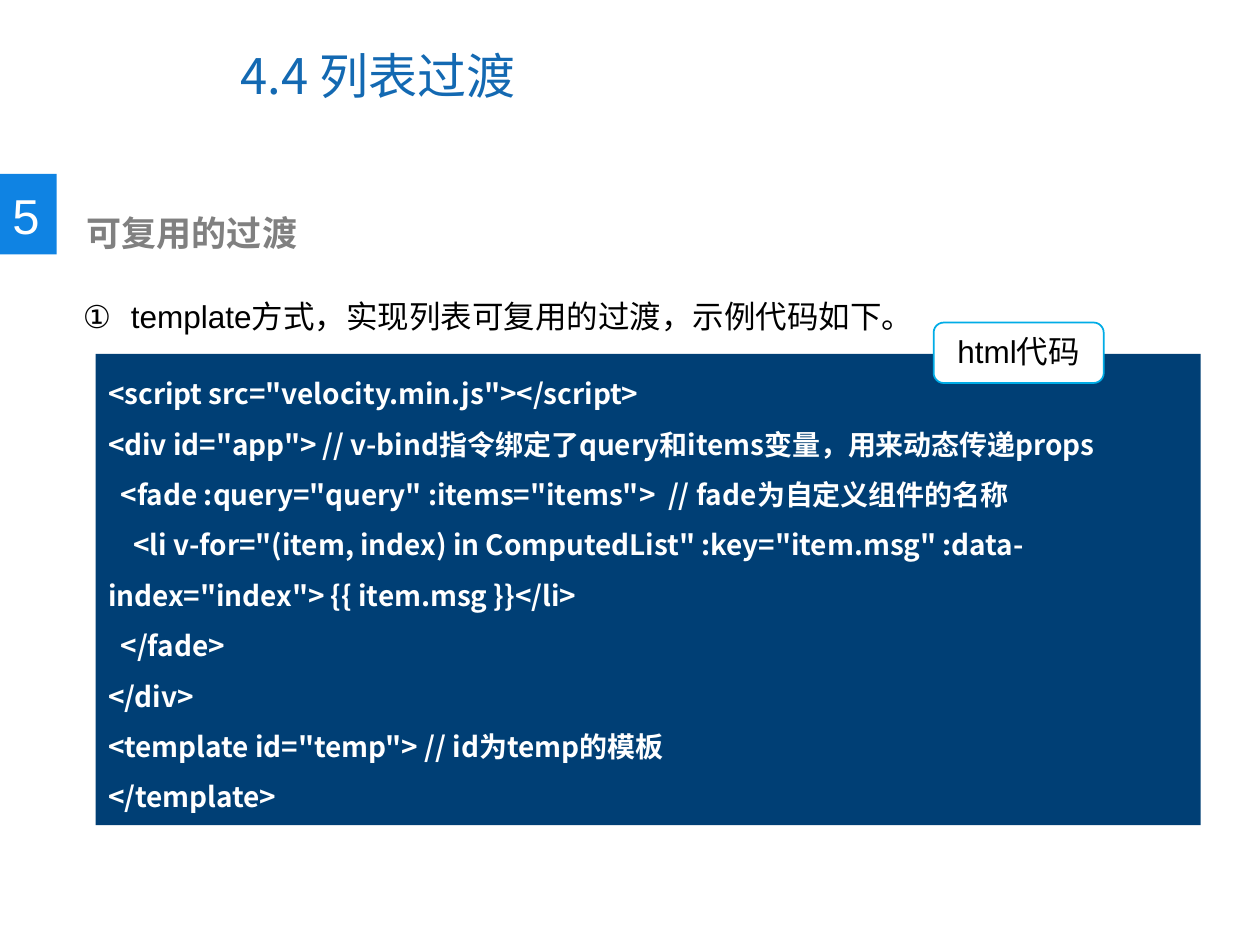
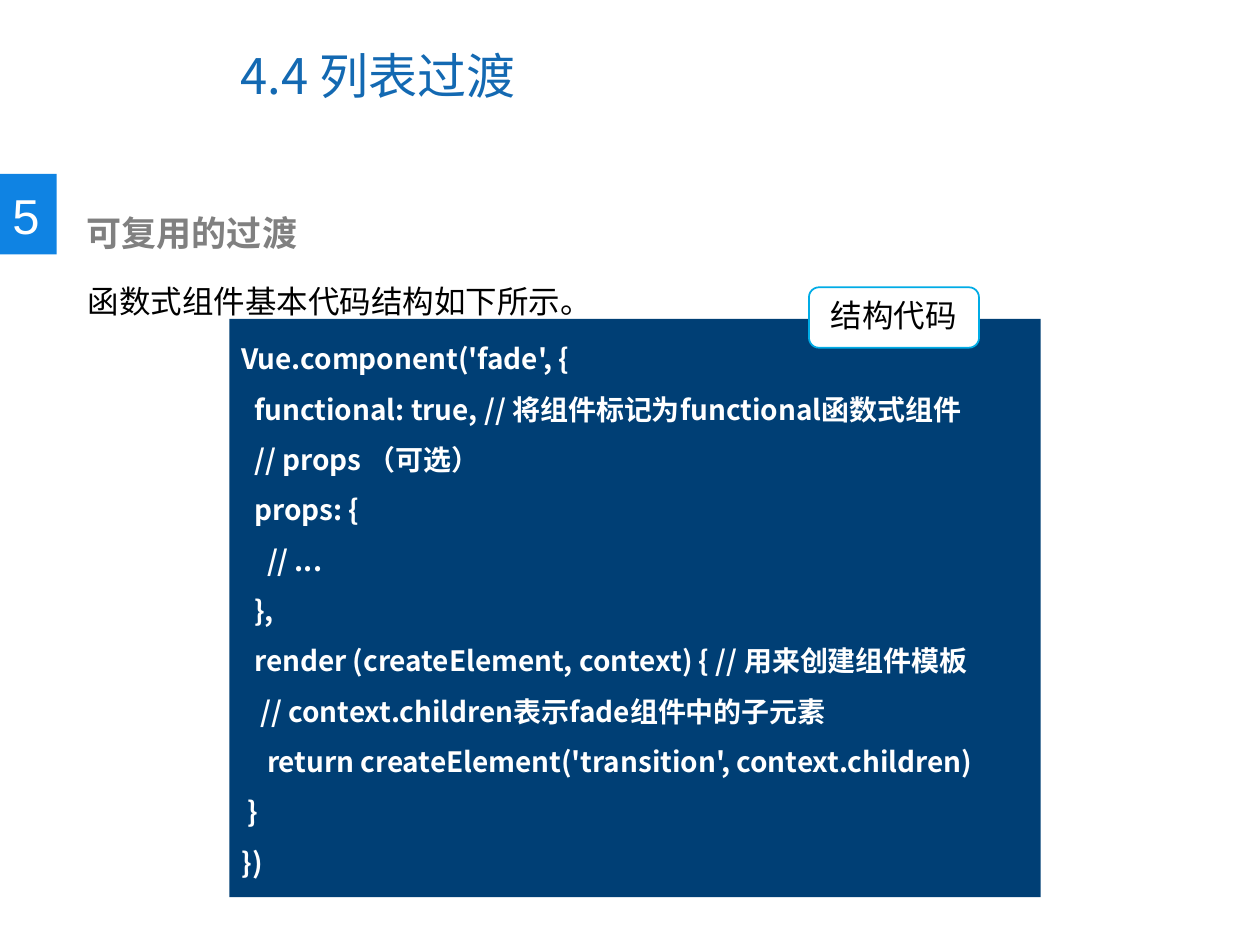
from dataclasses import dataclass
from typing import Any

from lxml import etree
from pptx import Presentation
from pptx import util as u
from pptx.dml.color import RGBColor
from pptx.enum import shapes, text
from pptx.oxml import ns

# Shared look
TITLE_BLUE = RGBColor(0x13, 0x69, 0xB2)
BADGE_BLUE = RGBColor(0x0F, 0x83, 0xE3)
CODE_NAVY = RGBColor(0x00, 0x3F, 0x75)
LABEL_CYAN = RGBColor(0x00, 0xAC, 0xE6)
GREY = RGBColor(0x80, 0x80, 0x80)
BLACK = RGBColor(0, 0, 0)
WHITE = RGBColor(0xFF, 0xFF, 0xFF)
LATIN, CJK = "Arial", "Noto Sans CJK SC"

TITLE_FONT = dict(name=CJK, size=u.Pt(28), bold=False)
BADGE_FONT = dict(name=LATIN, size=u.Pt(28))
HEADING_FONT = dict(name=LATIN, size=u.Pt(20), bold=True)
BODY_FONT = dict(name=LATIN, size=u.Pt(18))
CODE_FONT = dict(name=CJK, size=u.Pt(16), bold=True)

# Grid of 100 columns by 75 rows
WIDTH, HEIGHT = u.Inches(10), u.Inches(7.5)
COLUMN, ROW = WIDTH / 100, HEIGHT / 75


@dataclass(frozen=True)
class Area:
    column: float
    row: float
    columns: float
    rows: float

    def lengths(self) -> tuple[int, int, int, int]:
        return (round(self.column * COLUMN), round(self.row * ROW),
                round(self.columns * COLUMN), round(self.rows * ROW))


@dataclass(frozen=True)
class CodePage:
    intro: str
    intro_area: Area
    numbered: bool
    label: str
    label_column: float
    code: str
    code_area: Area


TITLE_AREA = Area(18.1, 1.7, 51.6, 8.5)
BADGE_AREA = Area(0, 13.8, 4.5, 6.4)
NUMBER_AREA = Area(0, 14.2, 4.2, 5.7)
HEADING_AREA = Area(5.9, 16.3, 50.2, 4.4)
LABEL_COLUMNS, LABEL_ROWS, LABEL_RISE = 13.5, 4.8, 2.5

PAGES = [
    CodePage(
        "template方式，实现列表可复用的过渡，示例代码如下。",
        Area(5.6, 20.1, 88.2, 7.1), True, "html代码", 74.1,
        """<script src="velocity.min.js"></script>
<div id="app"> // v-bind指令绑定了query和items变量，用来动态传递props
  <fade :query="query" :items="items">  // fade为自定义组件的名称
    <li v-for="(item, index) in ComputedList" :key="item.msg" :data-index="index"> {{ item.msg }}</li>
  </fade>
</div>
<template id="temp"> // id为temp的模板
</template>""",
        Area(7.6, 28.1, 87.7, 37.4)),
    CodePage(
        "函数式组件基本代码结构如下所示。",
        Area(6, 18.9, 90, 6.1), False, "结构代码", 64.2,
        """Vue.component('fade', {
  functional: true, // 将组件标记为functional函数式组件
  // props （可选）
  props: {
    // ...
  },
  render (createElement, context) { // 用来创建组件模板
   // context.children表示fade组件中的子元素
    return createElement('transition', context.children)
 }
})""",
        Area(18.2, 25.3, 64.4, 45.9)),
]


def write(box: Any, words: str, font: dict, color: RGBColor, spacing: float = 1,
          align: Any = text.PP_ALIGN.LEFT, anchor: Any = text.MSO_ANCHOR.TOP,
          wrap: bool = True) -> None:
    """Fill a box with one paragraph for each line of words."""
    frame = box.text_frame
    frame.word_wrap, frame.vertical_anchor = wrap, anchor
    for index, line in enumerate(words.split("\n")):
        para = frame.add_paragraph() if index else frame.paragraphs[0]
        para.alignment, para.line_spacing = align, spacing
        span = para.add_run()
        span.text = line
        for key, value in font.items():
            setattr(span.font, key, value)
        span.font.color.rgb = color
        east_asian = etree.Element(ns.qn("a:ea"), typeface=CJK)
        span.font._element.find(ns.qn("a:latin")).addnext(east_asian)


def add_block(page: Any, kind: Any, area: Area, fill: RGBColor,
              line: RGBColor | None = None) -> Any:
    block = page.shapes.add_shape(kind, *area.lengths())
    block.shadow.inherit = False
    block.fill.solid()
    block.fill.fore_color.rgb = fill
    if line is None:
        block.line.fill.background()
    else:
        block.line.color.rgb = line
        block.line.width = u.Pt(1)
    return block


def add_words(page: Any, area: Area, words: str, font: dict, color: RGBColor,
              **layout: Any) -> Any:
    box = page.shapes.add_textbox(*area.lengths())
    write(box, words, font, color, **layout)
    return box


def number_with_circle(box: Any) -> None:
    """Give the first paragraph a hanging circled number."""
    props = box.text_frame.paragraphs[0]._p.get_or_add_pPr()
    indent = u.Inches(0.38)
    props.set("marL", str(indent))
    props.set("indent", str(-indent))
    etree.SubElement(props, ns.qn("a:buFont"), typeface=CJK)
    etree.SubElement(props, ns.qn("a:buAutoNum"), type="circleNumDbPlain")


def add_header(page: Any) -> None:
    title = page.shapes.title
    title.left, title.top, title.width, title.height = TITLE_AREA.lengths()
    write(title, "4.4 列表过渡", TITLE_FONT, TITLE_BLUE,
          anchor=text.MSO_ANCHOR.MIDDLE)
    add_block(page, shapes.MSO_SHAPE.RECTANGLE, BADGE_AREA, BADGE_BLUE)
    add_words(page, NUMBER_AREA, "5", BADGE_FONT, WHITE, wrap=False)
    add_words(page, HEADING_AREA, "可复用的过渡", HEADING_FONT, GREY)


def add_code_page(deck: Any, content: CodePage) -> None:
    page = deck.slides.add_slide(deck.slide_layouts[5])
    add_header(page)

    # Introductory sentence
    intro = add_words(page, content.intro_area, content.intro, BODY_FONT, BLACK,
                      spacing=2)
    if content.numbered:
        number_with_circle(intro)

    # Code panel with its label across the top edge
    panel = add_block(page, shapes.MSO_SHAPE.RECTANGLE, content.code_area, CODE_NAVY)
    write(panel, content.code, CODE_FONT, WHITE, spacing=1.5)
    label_area = Area(content.label_column, content.code_area.row - LABEL_RISE,
                      LABEL_COLUMNS, LABEL_ROWS)
    label = add_block(page, shapes.MSO_SHAPE.ROUNDED_RECTANGLE, label_area, WHITE,
                      LABEL_CYAN)
    write(label, content.label, BODY_FONT, BLACK, align=text.PP_ALIGN.CENTER)


def main() -> None:
    deck = Presentation()
    deck.slide_width, deck.slide_height = WIDTH, HEIGHT
    for content in PAGES:
        add_code_page(deck, content)
    deck.save("out.pptx")


if __name__ == "__main__":
    main()
